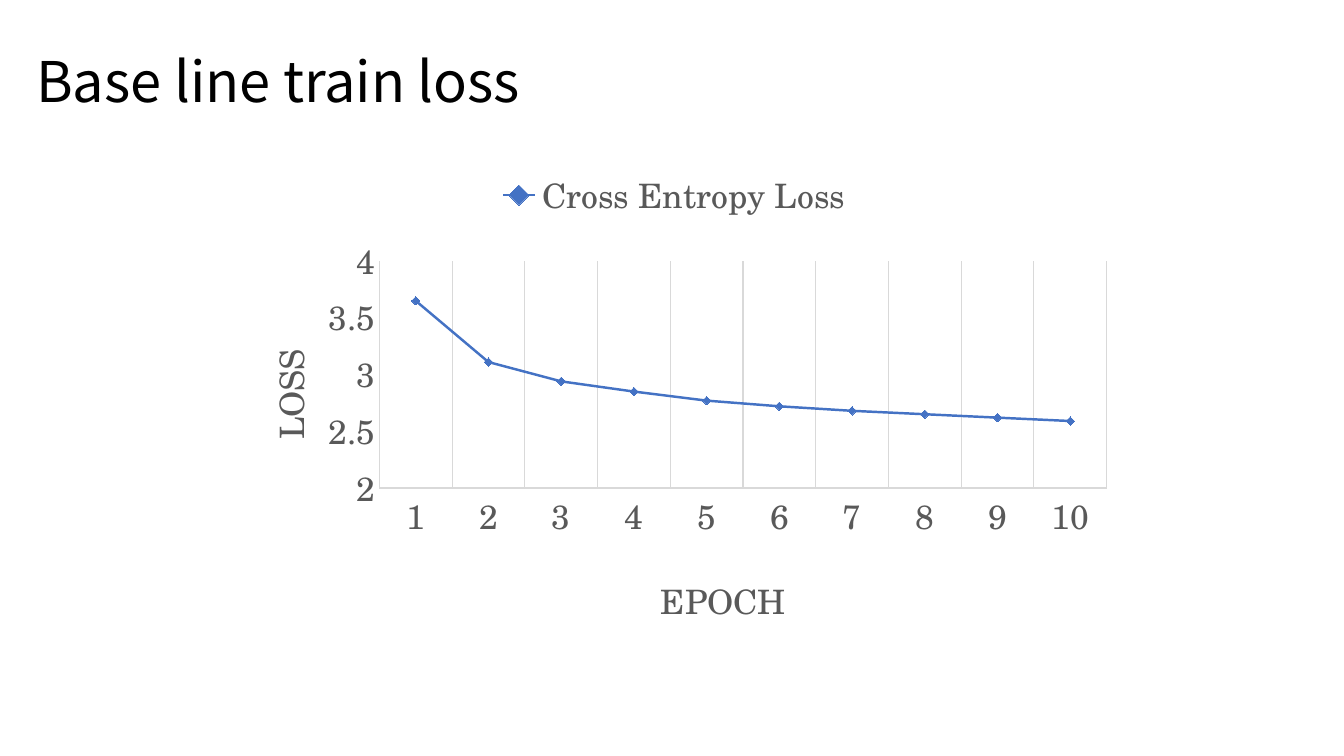
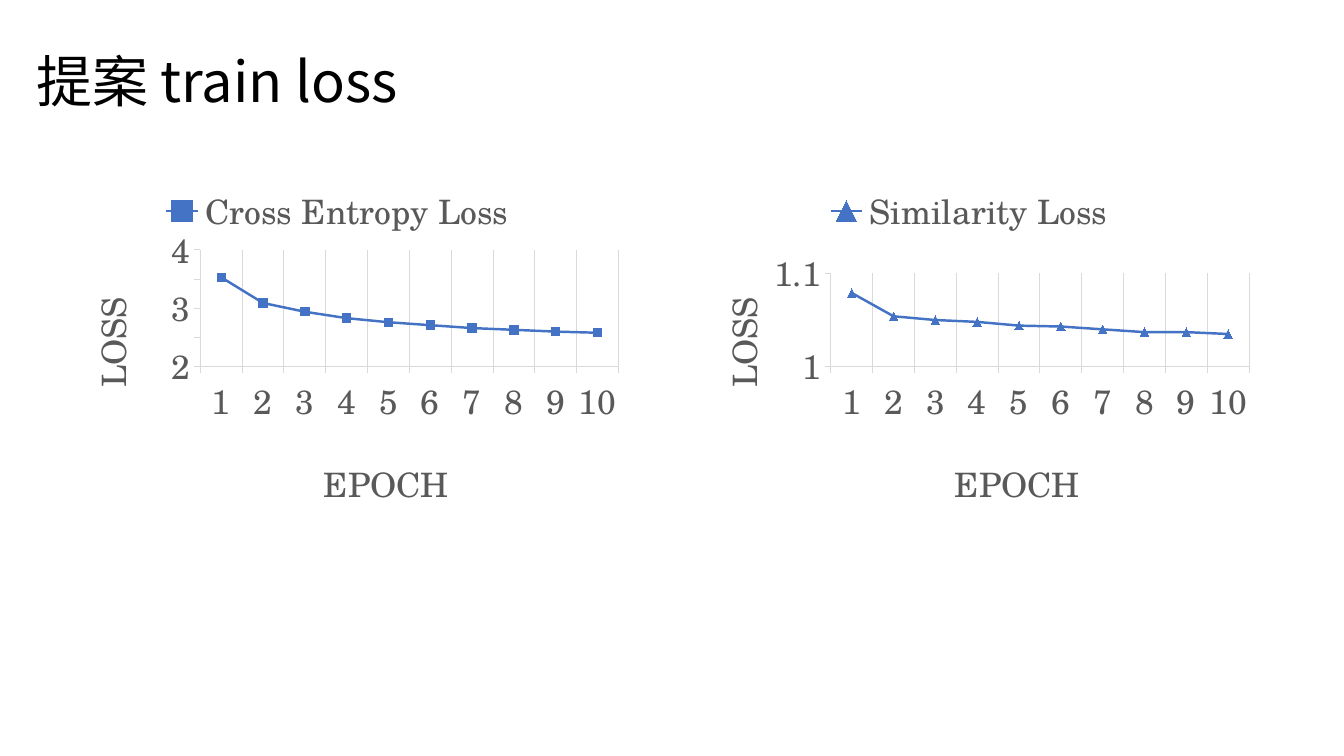
import pptx
import pptx.util
import pptx.chart.data
import pptx.dml.color
import pptx.enum.chart
import pptx.enum.text
import pptx.oxml
import pptx.oxml.ns

Cm, Pt = pptx.util.Cm, pptx.util.Pt
qn = pptx.oxml.ns.qn
MARKER = pptx.enum.chart.XL_MARKER_STYLE
TICK = pptx.enum.chart.XL_TICK_MARK

# Shared style
COLORS = {"title": "000000", "label": "595959", "rule": "D9D9D9", "series": "4472C4"}
TITLE_FONT, CHART_FONT = "Noto Sans CJK JP", "TeX Gyre Schola"
TITLE_BOX = (0.66, 0.33, 31.37, 3.61)
EPOCHS = [str(n) for n in range(1, 11)]

# Content: boxes and label corners in cm, measured on the slide
SLIDES = [
    ("Base line train loss", [
        {"name": "Cross Entropy Loss", "marker": MARKER.DIAMOND, "tick": TICK.NONE,
         "values": [3.65, 3.11, 2.94, 2.85, 2.77, 2.72, 2.68, 2.65, 2.62, 2.59],
         "scale": (2, 4, 0.5), "box": (5.61, 3.94, 22.76, 12.12),
         "plot": (9.56, 6.58, 18.33, 5.72), "epoch": (16.5, 14.29), "loss": (6.48, 8.64)},
    ]),
    ("提案 train loss", [
        {"name": "Cross Entropy Loss", "marker": MARKER.SQUARE, "tick": TICK.OUTSIDE,
         "values": [3.53, 3.09, 2.94, 2.83, 2.76, 2.71, 2.66, 2.63, 2.6, 2.58],
         "scale": (2, 4, 0.5), "box": (1.12, 4.34, 14.76, 8.76),
         "plot": (5.05, 6.3, 10.54, 2.94), "epoch": (8.01, 11.34), "loss": (1.99, 7.33)},
        {"name": "Similarity Loss", "marker": MARKER.TRIANGLE, "tick": TICK.OUTSIDE,
         "values": [1.079, 1.054, 1.05, 1.048, 1.044, 1.043, 1.04, 1.037, 1.037, 1.035],
         "scale": (1, 1.1, 0.1), "box": (17.04, 4.34, 14.76, 8.76),
         "plot": (20.94, 6.89, 10.54, 2.35), "epoch": (23.91, 11.34), "loss": (17.89, 7.33)},
    ]),
]


def rgb(name):
    return pptx.dml.color.RGBColor.from_string(COLORS[name])


def style_font(font, name, size, color):
    font.name, font.size, font.bold = name, Pt(size), False
    font.color.rgb = rgb(color)


def style_line(line, color, width):
    line.color.rgb = rgb(color)
    line.width = Pt(width)


def set_layout(parent, index, chart_box, part, inner=False):
    """Fix a chart part at its slide position, as fractions of the chart box."""
    for old in parent.findall(qn("c:layout")):
        parent.remove(old)
    left, top, width, height = chart_box
    values = [(part[0] - left) / width, (part[1] - top) / height]
    if len(part) == 4:
        values += [part[2] / width, part[3] / height]
    target = '<c:layoutTarget val="inner"/>' if inner else ""
    modes = '<c:xMode val="edge"/><c:yMode val="edge"/>'
    sizes = "".join(f'<c:{k} val="{v:.4f}"/>' for k, v in zip("xywh", values))
    parent.insert(index, pptx.oxml.parse_xml(
        f'<c:layout {pptx.oxml.ns.nsdecls("c")}><c:manualLayout>'
        f"{target}{modes}{sizes}</c:manualLayout></c:layout>"))


def style_axis(axis, text, corner, item):
    axis.major_tick_mark, axis.minor_tick_mark = item["tick"], TICK.NONE
    style_font(axis.tick_labels.font, CHART_FONT, 24, "label")
    style_line(axis.format.line, "rule", 0.75)
    tf = axis.axis_title.text_frame
    tf.text = text
    style_font(tf.paragraphs[0].font, CHART_FONT, 24, "label")
    set_layout(tf._txBody.getparent().getparent(), 1, item["box"], corner)
    return tf


def add_loss_chart(s, item):
    data = pptx.chart.data.CategoryChartData()
    data.categories = EPOCHS
    data.add_series(item["name"], item["values"])
    chart = s.shapes.add_chart(pptx.enum.chart.XL_CHART_TYPE.LINE_MARKERS,
                               *map(Cm, item["box"]), data).chart
    chart.has_title = False
    style_font(chart.font, CHART_FONT, 24, "title")
    chart.has_legend = True
    chart.legend.position = pptx.enum.chart.XL_LEGEND_POSITION.TOP
    chart.legend.include_in_layout = False
    style_font(chart.legend.font, CHART_FONT, 24, "label")

    # Axes
    cat, val = chart.category_axis, chart.value_axis
    style_axis(cat, "EPOCH", item["epoch"], item)
    cat.has_major_gridlines = True
    style_line(cat.major_gridlines.format.line, "rule", 0.75)
    tf = style_axis(val, "LOSS", item["loss"], item)
    tf._txBody.bodyPr.set("rot", "-5400000")
    tf._txBody.bodyPr.set("vert", "horz")
    val.has_major_gridlines = False
    val.minimum_scale, val.maximum_scale, val.major_unit = item["scale"]

    # Series
    plot = chart.plots[0]
    plot.vary_by_categories = False
    series = plot.series[0]
    series.smooth = False
    style_line(series.format.line, "series", 1.75)
    marker = series.marker
    marker.style, marker.size = item["marker"], 6
    marker.format.fill.solid()
    marker.format.fill.fore_color.rgb = rgb("series")
    style_line(marker.format.line, "series", 0.75)
    set_layout(chart._chartSpace.chart.plotArea, 0, item["box"], item["plot"], inner=True)


def set_title(s, text):
    title = s.shapes.title
    title.left, title.top, title.width, title.height = map(Cm, TITLE_BOX)
    tf = title.text_frame
    tf.text = text
    tf.auto_size = pptx.enum.text.MSO_AUTO_SIZE.NONE
    tf.vertical_anchor = pptx.enum.text.MSO_ANCHOR.MIDDLE
    p = tf.paragraphs[0]
    p.alignment = pptx.enum.text.PP_ALIGN.LEFT
    p.line_spacing = 0.9
    r = p.runs[0]
    style_font(r.font, TITLE_FONT, 40, "title")
    # East Asian glyphs take the same typeface
    r.font._element.find(qn("a:latin")).addnext(pptx.oxml.parse_xml(
        f'<a:ea {pptx.oxml.ns.nsdecls("a")} typeface="{TITLE_FONT}"/>'))


def main():
    prs = pptx.Presentation()
    prs.slide_width, prs.slide_height = Cm(33.87), Cm(19.05)
    for title, charts in SLIDES:
        s = prs.slides.add_slide(prs.slide_layouts[5])
        set_title(s, title)
        for item in charts:
            add_loss_chart(s, item)
    prs.save("out.pptx")


if __name__ == "__main__":
    main()
